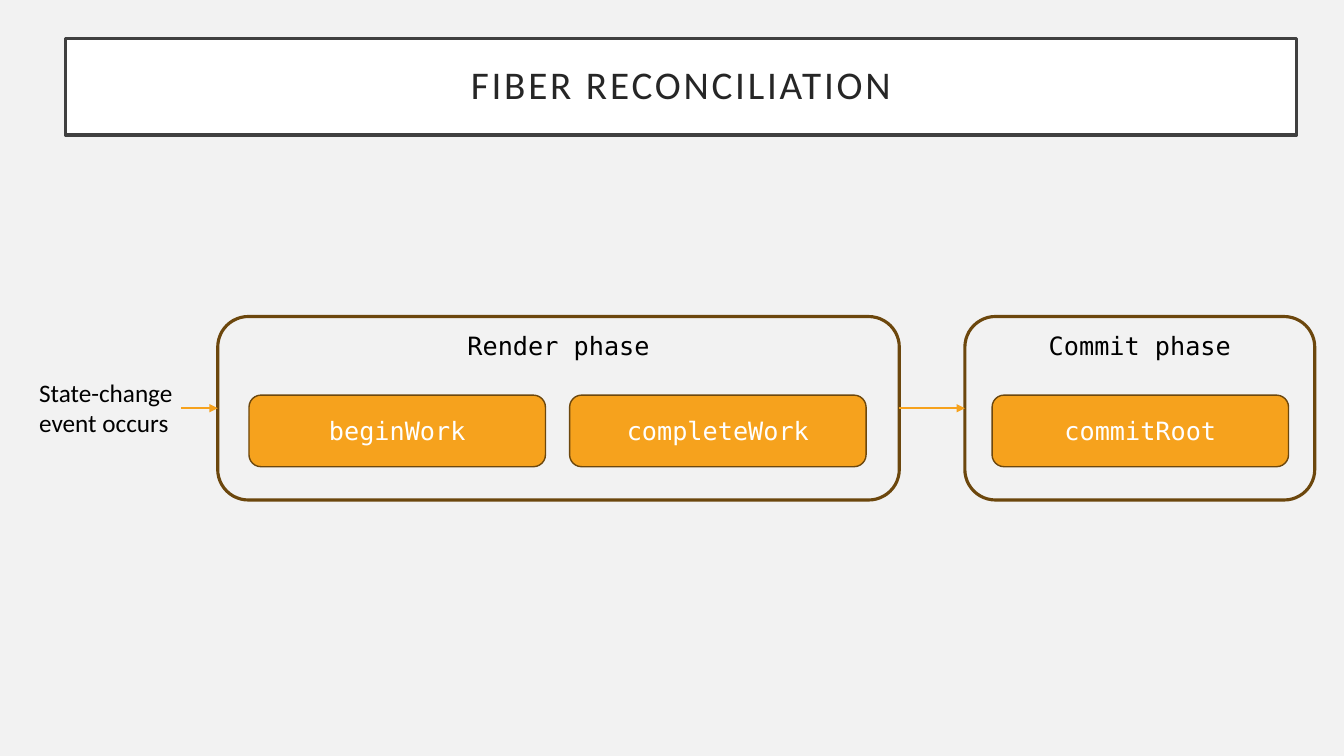
from lxml.etree import SubElement
from pptx import Presentation
from pptx.dml.color import RGBColor
from pptx.enum.shapes import MSO_CONNECTOR, MSO_SHAPE
from pptx.enum.text import MSO_ANCHOR, MSO_AUTO_SIZE, PP_ALIGN
from pptx.oxml.ns import qn
from pptx.util import Pt

PX = 9144
LEFT_SITE, RIGHT_SITE = 1, 3


class FlowSlide:
    colours = {
        "background": "F2F2F2",
        "white": "FFFFFF",
        "frame": "404040",
        "title": "262626",
        "step": "F6A21D",
        "outline": "6C470D",
        "text": "000000",
    }
    body_font = "Calibri"
    code_font = "DejaVu Sans Mono"

    def __init__(self, deck):
        self.page = deck.slides.add_slide(deck.slide_layouts[5])
        self.fill(self.page.background, "background")

    def colour(self, name):
        return RGBColor.from_string(self.colours[name])

    def fill(self, item, name):
        item.fill.solid()
        item.fill.fore_color.rgb = self.colour(name)

    def stroke(self, item, name, width):
        item.line.color.rgb = self.colour(name)
        item.line.width = Pt(width)

    def set_text(self, box, text, font, size, colour, align, anchor):
        frame = box.text_frame
        frame.text = text
        frame.word_wrap = True
        frame.vertical_anchor = anchor
        para = frame.paragraphs[0]
        para.alignment = align
        span = para.runs[0]
        span.font.name = font
        span.font.size = Pt(size)
        span.font.color.rgb = self.colour(colour)
        return para

    def title(self, text, left, top, width, height):
        box = self.page.shapes.title
        box.left, box.top, box.width, box.height = (
            n * PX for n in (left, top, width, height))
        self.fill(box, "white")
        self.stroke(box, "frame", 2.5)
        para = self.set_text(box, text, self.body_font, 28, "title",
                             PP_ALIGN.CENTER, MSO_ANCHOR.MIDDLE)
        para.line_spacing = 0.9
        para.runs[0].font._element.set("spc", "200")
        frame = box.text_frame
        frame.auto_size = MSO_AUTO_SIZE.NONE
        frame.margin_left = frame.margin_right = 20 * PX
        frame.margin_top = frame.margin_bottom = 20 * PX

    def rounded(self, left, top, width, height, line_width):
        box = self.page.shapes.add_shape(
            MSO_SHAPE.ROUNDED_RECTANGLE,
            *(n * PX for n in (left, top, width, height)))
        box.shadow.inherit = False
        self.stroke(box, "outline", line_width)
        return box

    def step(self, text, left):
        box = self.rounded(left, 392, 294, 71, 1)
        self.fill(box, "step")
        self.set_text(box, text, self.code_font, 18, "white",
                      PP_ALIGN.CENTER, MSO_ANCHOR.MIDDLE)

    def phase(self, text, left, width):
        box = self.rounded(left, 314, width, 182, 2.25)
        box.fill.background()
        self.set_text(box, text, self.code_font, 18, "text",
                      PP_ALIGN.CENTER, MSO_ANCHOR.TOP)
        return box

    def label(self, text, left, top, width, height):
        box = self.page.shapes.add_textbox(
            *(n * PX for n in (left, top, width, height)))
        self.set_text(box, text, self.body_font, 18, "text",
                      PP_ALIGN.LEFT, MSO_ANCHOR.TOP)
        box.text_frame.auto_size = MSO_AUTO_SIZE.SHAPE_TO_FIT_TEXT

    def arrow(self, left, y, target, source=None):
        line = self.page.shapes.add_connector(
            MSO_CONNECTOR.STRAIGHT, left * PX, y * PX, target.left, y * PX)
        if source is not None:
            line.begin_connect(source, RIGHT_SITE)
        line.end_connect(target, LEFT_SITE)
        self.stroke(line, "step", 1.5)
        properties = line._element.spPr
        SubElement(properties.find(qn("a:ln")), qn("a:tailEnd"), type="triangle")
        SubElement(properties, qn("a:effectLst"))


def main():
    deck = Presentation()
    deck.slide_width, deck.slide_height = 1333 * PX, 750 * PX
    slide = FlowSlide(deck)
    slide.title("FIBER RECONCILIATION", 65, 38, 1221, 96)
    for name, left in (("beginWork", 247), ("completeWork", 565), ("commitRoot", 984)):
        slide.step(name, left)
    render = slide.phase("Render phase", 216, 676)
    commit = slide.phase("Commit phase", 957, 347)
    slide.arrow(892, 405, commit, render)
    slide.label("State-change event occurs", 29, 369, 167, 71)
    slide.arrow(180, 405, render)
    deck.save("out.pptx")


if __name__ == "__main__":
    main()
